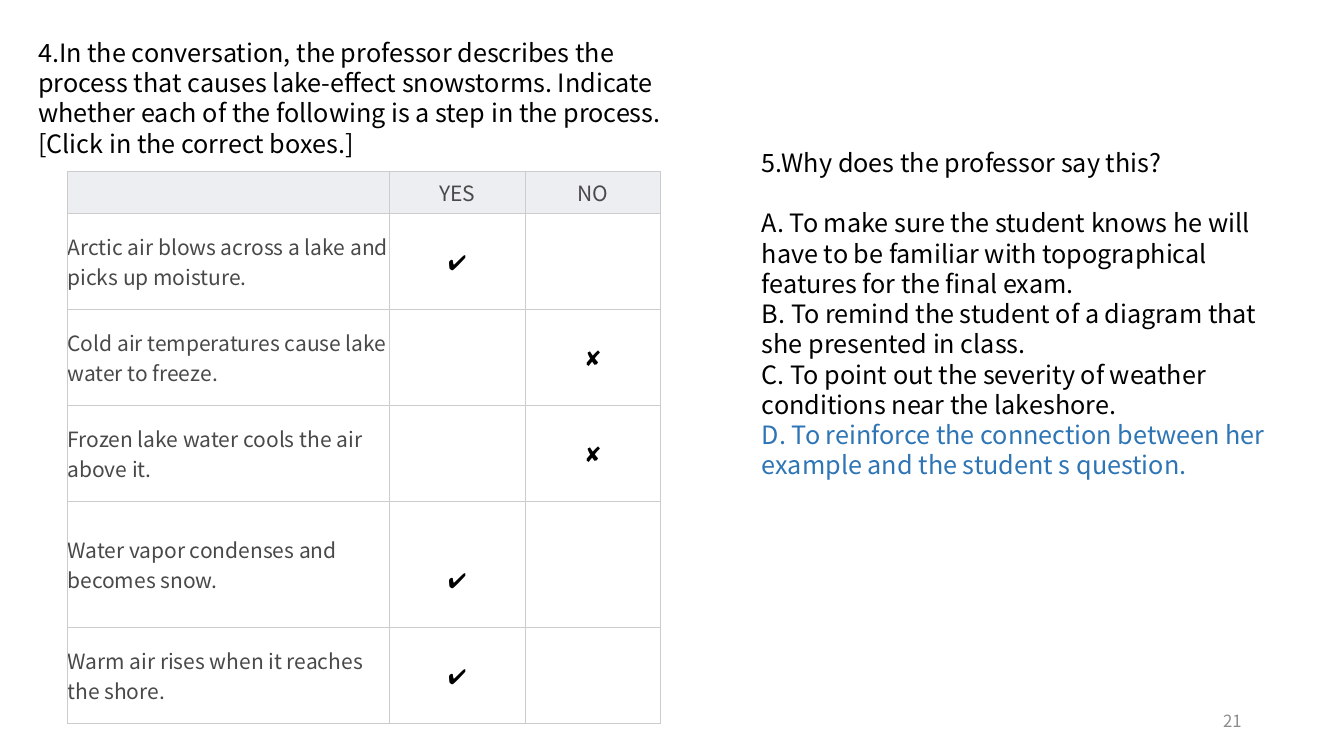
"""Build a quiz slide with a yes/no table and a multiple-choice question."""
from lxml import etree
from pptx import Presentation
from pptx.dml.color import RGBColor
from pptx.enum.text import MSO_ANCHOR, MSO_AUTO_SIZE, PP_ALIGN
from pptx.oxml.ns import qn
from pptx.util import Pt

COLORS = {
    "text": "000000",
    "table": "494949",
    "header": "EDEEF2",
    "border": "CCCCCC",
    "answer": "2E75B6",
    "number": "8C8C8C",
}
FONT = "Noto Sans CJK SC"
LINE = 21.6
YES, NO = "✔️", "✘"
PROCESS_QUESTION = (
    "4.In the conversation, the professor describes the process that causes "
    "lake-effect snowstorms. Indicate whether each of the following is a step "
    "in the process. [Click in the correct boxes.]"
)
STEPS = [
    ("", "YES", "NO"),
    ("Arctic air blows across a lake and picks up moisture.", YES, ""),
    ("Cold air temperatures cause lake water to freeze.", "", NO),
    ("Frozen lake water cools the air above it.", "", NO),
    ("Water vapor condenses and becomes snow.", YES, ""),
    ("Warm air rises when it reaches the shore.", YES, ""),
]
COLUMN_WIDTHS = [230, 97, 97]
ROW_HEIGHTS = [30, 68.6, 68.6, 68.6, 90, 68.6]
TALL_ROW = 4
REASON_QUESTION = "5.Why does the professor say this?"
REASONS = [
    "A. To make sure the student knows he will have to be familiar with "
    "topographical features for the final exam.",
    "B. To remind the student of a diagram that she presented in class.",
    "C. To point out the severity of weather conditions near the lakeshore.",
    "D. To reinforce the connection between her example and the student s question.",
]


def rgb(name):
    return RGBColor.from_string(COLORS[name])


def style(paragraph, size, color, align=PP_ALIGN.LEFT):
    paragraph.alignment = align
    paragraph.font.size = Pt(size)
    paragraph.font.name = FONT
    paragraph.font.color.rgb = rgb(color)


def place(placeholder, left, top, width, height):
    placeholder.left, placeholder.top = Pt(left), Pt(top)
    placeholder.width, placeholder.height = Pt(width), Pt(height)
    frame = placeholder.text_frame
    frame.word_wrap = True
    frame.auto_size = MSO_AUTO_SIZE.NONE
    frame.vertical_anchor = MSO_ANCHOR.TOP
    return frame


def write_line(paragraph, text, color="text", before=0):
    paragraph.text = text
    paragraph.line_spacing = Pt(LINE)
    paragraph.space_before = Pt(before)
    properties = paragraph._p.get_or_add_pPr()
    properties.set("marL", "0")
    properties.set("indent", "0")
    etree.SubElement(properties, qn("a:buNone"))
    style(paragraph, 18, color)


def add_reasons(frame):
    write_line(frame.paragraphs[0], REASON_QUESTION)
    for index, reason in enumerate(REASONS):
        color = "answer" if reason.startswith("D.") else "text"
        write_line(frame.add_paragraph(), reason, color, 0 if index else LINE)


def add_borders(cell):
    properties = cell._tc.get_or_add_tcPr()
    for index, side in enumerate(("lnL", "lnR", "lnT", "lnB")):
        border = etree.Element(qn(f"a:{side}"), w=str(Pt(0.75)))
        fill = etree.SubElement(border, qn("a:solidFill"))
        etree.SubElement(fill, qn("a:srgbClr"), val=COLORS["border"])
        properties.insert(index, border)


def fill_cell(cell, text, is_header, is_step):
    cell.margin_left = cell.margin_right = cell.margin_top = cell.margin_bottom = 0
    cell.vertical_anchor = MSO_ANCHOR.MIDDLE
    if is_header:
        cell.fill.solid()
        cell.fill.fore_color.rgb = rgb("header")
    else:
        cell.fill.background()
    add_borders(cell)
    paragraph = cell.text_frame.paragraphs[0]
    paragraph.text = text
    style(paragraph, 15, "text" if text in (YES, NO) else "table",
          PP_ALIGN.LEFT if is_step else PP_ALIGN.CENTER)


def add_steps_table(slide):
    steps = slide.shapes.add_table(
        len(STEPS), len(COLUMN_WIDTHS), Pt(48.2), Pt(122.2),
        Pt(sum(COLUMN_WIDTHS)), Pt(sum(ROW_HEIGHTS))).table
    steps.first_row = steps.horz_banding = False
    for column, width in zip(steps.columns, COLUMN_WIDTHS):
        column.width = Pt(width)
    for row, height in zip(steps.rows, ROW_HEIGHTS):
        row.height = Pt(height)
    for row_index, texts in enumerate(STEPS):
        for column_index, text in enumerate(texts):
            fill_cell(steps.cell(row_index, column_index), text,
                      row_index == 0, column_index == 0)
    steps.cell(TALL_ROW, 1).margin_top = Pt(LINE)


def add_page_number(slide):
    number = slide.shapes.add_textbox(Pt(678), Pt(500.4), Pt(216), Pt(28.8))
    frame = number.text_frame
    frame.word_wrap = True
    frame.vertical_anchor = MSO_ANCHOR.MIDDLE
    frame.text = "21"
    style(frame.paragraphs[0], 12, "number", PP_ALIGN.RIGHT)


def main():
    deck = Presentation()
    deck.slide_width, deck.slide_height = Pt(960), Pt(540)
    slide = deck.slides.add_slide(deck.slide_layouts[1])
    question = place(slide.shapes.title, 20, 23, 480, 94)
    write_line(question.paragraphs[0], PROCESS_QUESTION)
    add_steps_table(slide)
    add_reasons(place(slide.placeholders[1], 537, 101.6, 388, 247))
    add_page_number(slide)
    deck.save("out.pptx")


if __name__ == "__main__":
    main()
